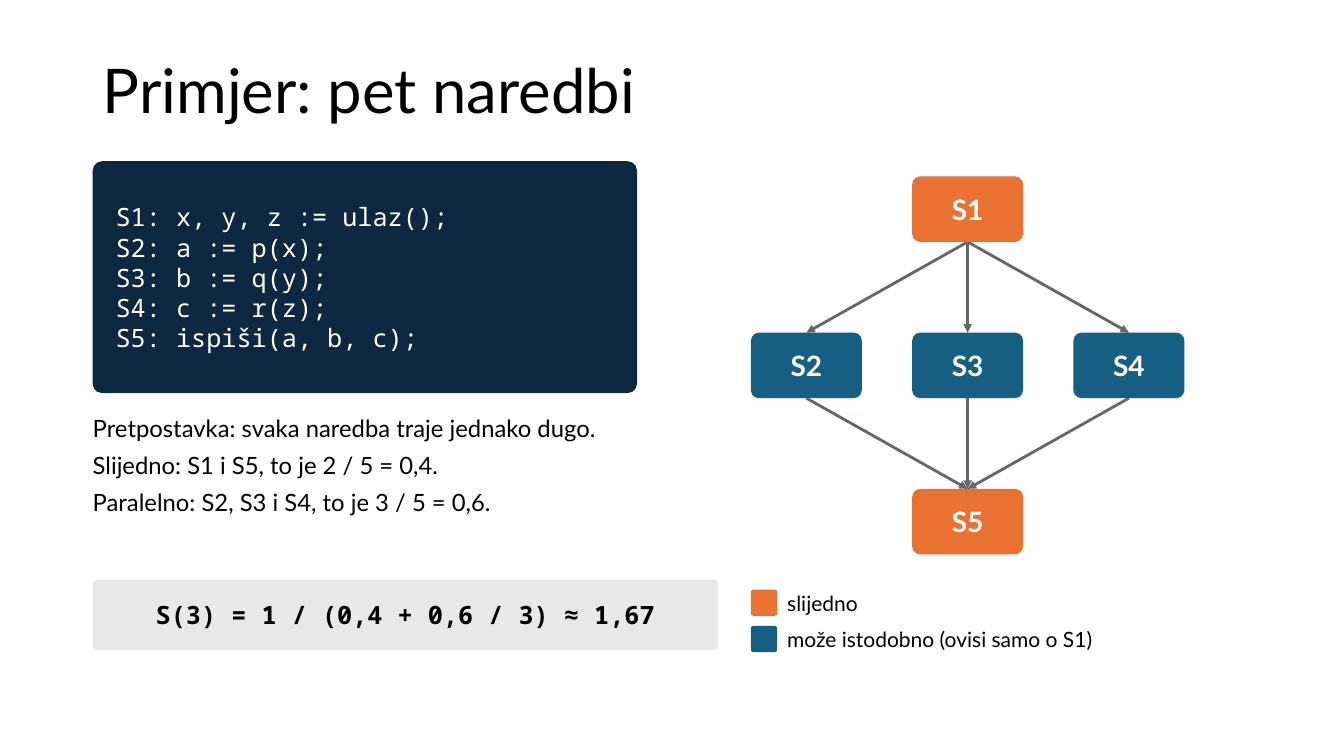
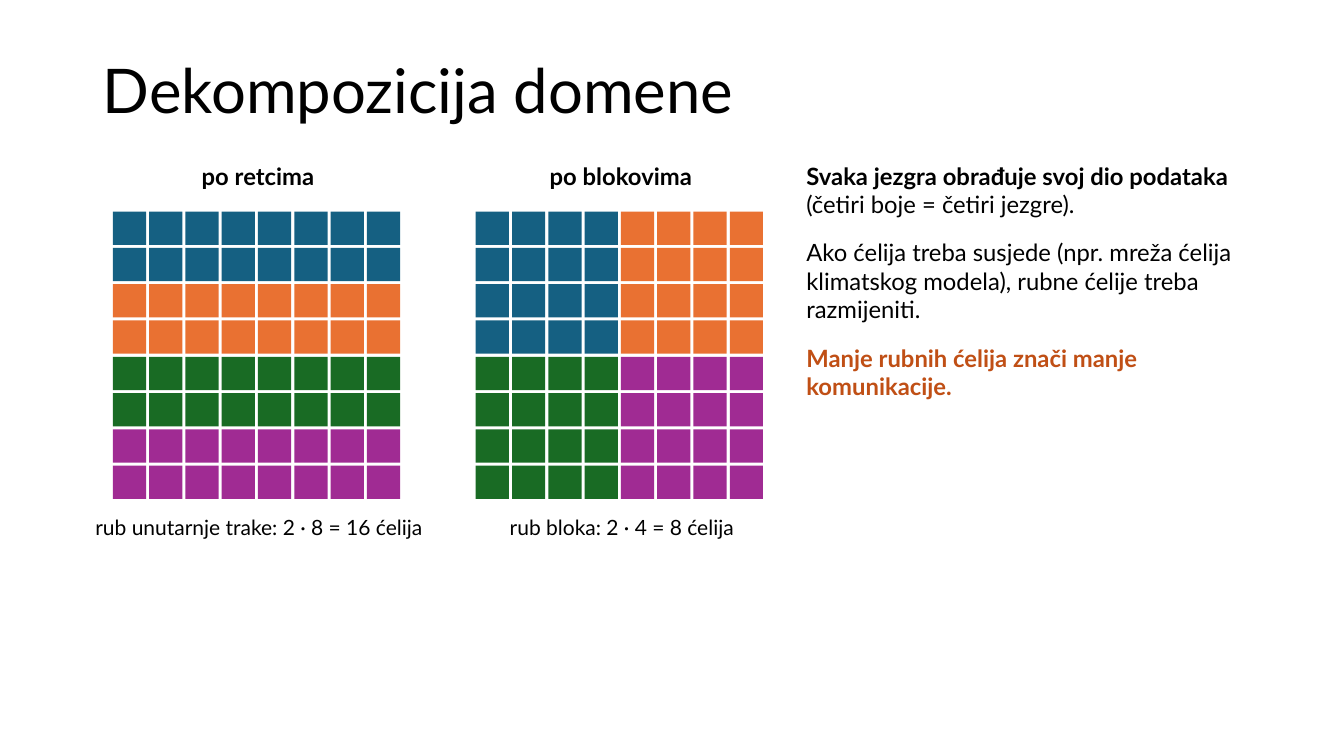
"""Build two slides on parallel speed-up and domain decomposition."""
from lxml import etree
from pptx import Presentation
from pptx.dml.color import RGBColor
from pptx.enum.shapes import MSO_CONNECTOR, MSO_SHAPE
from pptx.enum.text import MSO_ANCHOR, MSO_AUTO_SIZE, PP_ALIGN
from pptx.oxml.ns import qn
from pptx.util import Pt

RECTANGLE = MSO_SHAPE.RECTANGLE
ROUNDED = MSO_SHAPE.ROUNDED_RECTANGLE
STRAIGHT = MSO_CONNECTOR.STRAIGHT
TOP, MIDDLE = MSO_ANCHOR.TOP, MSO_ANCHOR.MIDDLE
LEFT, CENTER = PP_ALIGN.LEFT, PP_ALIGN.CENTER
FIXED, GROW = MSO_AUTO_SIZE.NONE, MSO_AUTO_SIZE.SHAPE_TO_FIT_TEXT

COLORS = {
    "text": "000000", "white": "FFFFFF", "navy": "0E2841", "pale": "E8E8E8",
    "blue": "156082", "orange": "E97132", "green": "196B24",
    "purple": "A02B93", "accent": "C04F15", "arrow": "666666",
}
SANS, MONO = "Lato", "Noto Sans Mono"
MARGIN_LEFT, CONTENT_TOP = 66.24, 115.2
TITLE_FRAME = (MARGIN_LEFT, 28.8, 828, 76.32)

TITLE = {"name": SANS, "size": Pt(44)}
BODY = {"name": SANS, "size": Pt(17)}
BODY_BOLD = {**BODY, "bold": True}
SMALL = {"name": SANS, "size": Pt(15)}
CODE = {"name": MONO, "size": Pt(18)}
FORMULA = {**CODE, "bold": True}
NODE = {"name": SANS, "size": Pt(20), "bold": True}


def add_block(slide, frame, fill=None, radius=0):
    """Add a filled block, or a text box when there is no fill."""
    frame = [Pt(length) for length in frame]
    if fill is None:
        return slide.shapes.add_textbox(*frame)
    shape = slide.shapes.add_shape(ROUNDED if radius else RECTANGLE, *frame)
    if radius:
        shape.adjustments[0] = radius
    shape.shadow.inherit = False
    shape.fill.solid()
    shape.fill.fore_color.rgb = RGBColor.from_string(COLORS[fill])
    shape.line.fill.background()
    return shape


def write_text(shape, paragraphs, font, color="text", margins=(0, 0, 0, 0),
               anchor=TOP, fit=GROW, **paragraph_format):
    """Write paragraphs, each a list of (text, font changes) runs."""
    frame = shape.text_frame
    frame.word_wrap = True
    frame.auto_size = fit
    frame.vertical_anchor = anchor
    sides = ("margin_left", "margin_top", "margin_right", "margin_bottom")
    for side, margin in zip(sides, margins):
        setattr(frame, side, Pt(margin))
    for index, runs in enumerate(paragraphs):
        paragraph = frame.add_paragraph() if index else frame.paragraphs[0]
        for name, value in {"alignment": LEFT, **paragraph_format}.items():
            setattr(paragraph, name, value)
        for text, changes in runs:
            run = paragraph.add_run()
            run.text = text
            run_format = {"color": color, **font, **changes}
            run_color = COLORS[run_format.pop("color")]
            run.font.color.rgb = RGBColor.from_string(run_color)
            for name, value in run_format.items():
                setattr(run.font, name, value)


presentation = Presentation()
presentation.slide_width, presentation.slide_height = Pt(960), Pt(540)

slides = []
for title in ("Primjer: pet naredbi", "Dekompozicija domene"):
    slide = presentation.slides.add_slide(presentation.slide_layouts[5])
    shape = slide.shapes.title
    for name, length in zip(("left", "top", "width", "height"), TITLE_FRAME):
        setattr(shape, name, Pt(length))
    write_text(shape, [[(title, {})]], TITLE, margins=(7.2, 3.6, 7.2, 3.6),
               anchor=MIDDLE, fit=FIXED, line_spacing=0.9)
    slides.append(slide)
example_slide, domain_slide = slides

code_lines = (
    "S1: x, y, z := ulaz();",
    "S2: a := p(x);",
    "S3: b := q(y);",
    "S4: c := r(z);",
    "S5: ispiši(a, b, c);",
)
code_panel = add_block(example_slide, (MARGIN_LEFT, CONTENT_TOP, 388.8, 165.6),
                       "navy", 0.04)
write_text(code_panel, [[(line, {})] for line in code_lines], CODE, "white",
           (14.4, 3.6, 7.2, 3.6), MIDDLE, FIXED)

assumptions = (
    "Pretpostavka: svaka naredba traje jednako dugo.",
    "Slijedno: S1 i S5, to je 2 / 5 = 0,4.",
    "Paralelno: S2, S3 i S4, to je 3 / 5 = 0,6.",
)
assumption_box = add_block(example_slide, (MARGIN_LEFT, 295.2, 388.8, 108))
write_text(assumption_box, [[(line, {})] for line in assumptions], BODY,
           space_after=Pt(6))

formula_panel = add_block(example_slide, (MARGIN_LEFT, 414, 446.4, 50.4),
                          "pale", 0.06)
write_text(formula_panel, [[("S(3) = 1 / (0,4 + 0,6 / 3) ≈ 1,67", {})]],
           FORMULA, margins=(10.8, 3.6, 10.8, 3.6), anchor=MIDDLE, fit=FIXED,
           alignment=CENTER)

GRAPH_LEFT, GRAPH_TOP = 536.4, 126
COLUMN_STEP, ROW_STEP = 115.2, 111.6
node_places = {
    "S1": (1, 0, "orange"),
    "S2": (0, 1, "blue"),
    "S3": (1, 1, "blue"),
    "S4": (2, 1, "blue"),
    "S5": (1, 2, "orange"),
}
nodes = {}
for name, (column, row, fill) in node_places.items():
    node = add_block(example_slide, (GRAPH_LEFT + column * COLUMN_STEP,
                                     GRAPH_TOP + row * ROW_STEP, 79.2, 46.8),
                     fill, 0.12)
    write_text(node, [[(name, {})]], NODE, "white", (3.6, 1.44, 3.6, 1.44),
               MIDDLE, FIXED, alignment=CENTER)
    nodes[name] = node

parallel = ("S2", "S3", "S4")
edges = [("S1", name) for name in parallel] + [(name, "S5") for name in parallel]
for source, target in edges:
    arrow = example_slide.shapes.add_connector(STRAIGHT, 0, 0, 0, 0)
    arrow.begin_connect(nodes[source], 2)
    arrow.end_connect(nodes[target], 0)
    arrow.line.width = Pt(2)
    arrow.line.color.rgb = RGBColor.from_string(COLORS["arrow"])
    etree.SubElement(arrow.line._get_or_add_ln(), qn("a:tailEnd"), type="triangle")
    etree.SubElement(arrow._element.spPr, qn("a:effectLst"))
    nodes["S1"]._element.addprevious(arrow._element)

legend = (("orange", "slijedno"), ("blue", "može istodobno (ovisi samo o S1)"))
for index, (fill, label) in enumerate(legend):
    top = 421.2 + index * 25.92
    add_block(example_slide, (GRAPH_LEFT, top, 18.72, 18.72), fill, 0.1)
    label_box = add_block(example_slide,
                          (GRAPH_LEFT + 25.92, top - 2.88, 259.2, 24.48))
    write_text(label_box, [[(label, {})]], SMALL, anchor=MIDDLE)

CELL, PITCH, CELL_COUNT, GRID_TOP = 23.76, 25.92, 8, 151.2
CORE_COLORS = ("blue", "orange", "green", "purple")
grids = (
    (80.64, "po retcima", "rub unutarnje trake: 2 · 8 = 16 ćelija", 2, 8),
    (339.84, "po blokovima", "rub bloka: 2 · 4 = 8 ćelija", 4, 4),
)
for left, heading, caption, part_rows, part_columns in grids:
    heading_box = add_block(domain_slide,
                            (left, CONTENT_TOP, CELL_COUNT * PITCH, 28.8))
    write_text(heading_box, [[(heading, {})]], BODY_BOLD, alignment=CENTER)
    parts_across = CELL_COUNT // part_columns
    for row in range(CELL_COUNT):
        for column in range(CELL_COUNT):
            core = row // part_rows * parts_across + column // part_columns
            add_block(domain_slide, (left + column * PITCH, GRID_TOP + row * PITCH,
                                     CELL, CELL), CORE_COLORS[core])
    caption_box = add_block(domain_slide, (left - 14.4, 367.2, 237.6, 50.4))
    write_text(caption_box, [[(caption, {})]], SMALL, alignment=CENTER)

explanation = [
    [("Svaka jezgra obrađuje svoj dio podataka", {"bold": True}),
     (" (četiri boje = četiri jezgre).", {})],
    [("Ako ćelija treba susjede (npr. mreža ćelija klimatskog modela), "
      "rubne ćelije treba razmijeniti.", {})],
    [("Manje rubnih ćelija znači manje komunikacije.",
      {"bold": True, "color": "accent"})],
]
explanation_box = add_block(domain_slide, (576, CONTENT_TOP, 324, 360))
write_text(explanation_box, explanation, BODY, space_after=Pt(14))

presentation.save("out.pptx")
